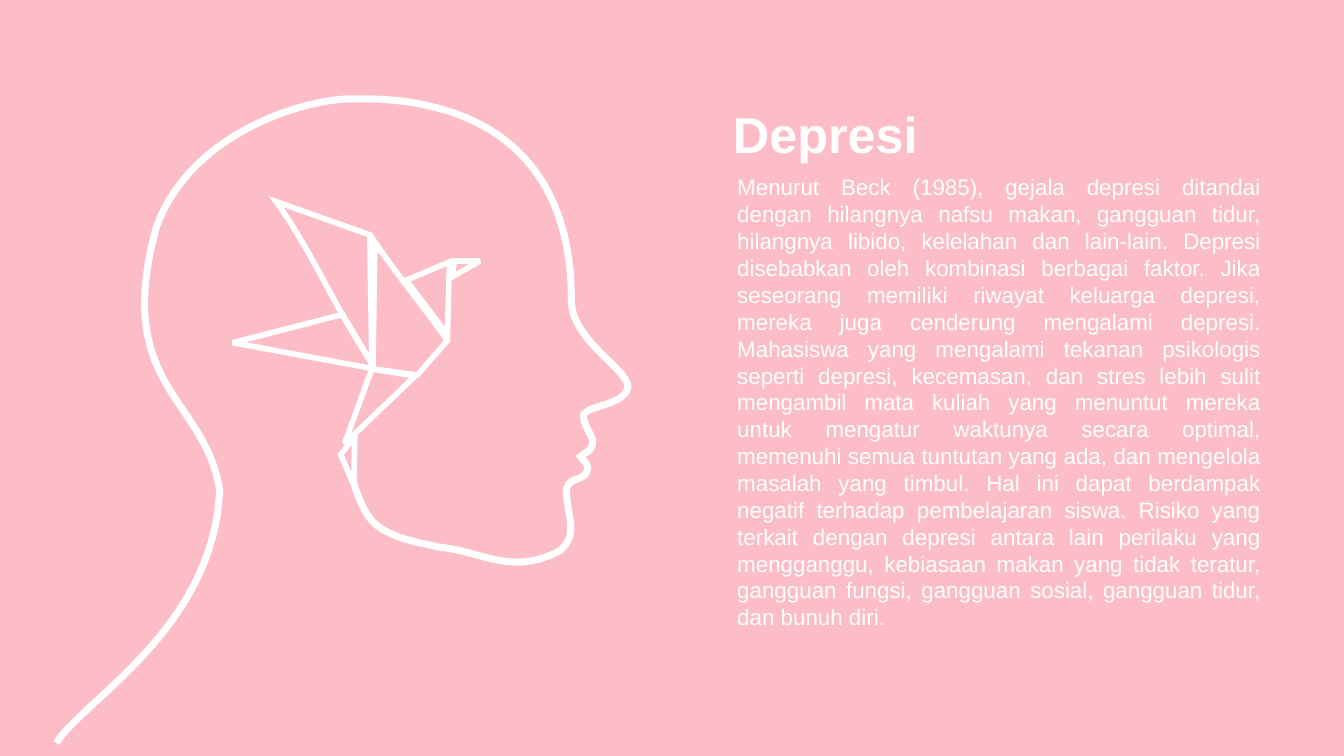
import dataclasses
import math
import pptx
import pptx.dml.color
import pptx.enum.text
import pptx.oxml
import pptx.oxml.ns
import pptx.util

Cm = pptx.util.Cm
Pt = pptx.util.Pt
TextEnum = pptx.enum.text


def rgb(code):
    return pptx.dml.color.RGBColor.from_string(code)


def turn(point, degrees):
    x, y = point
    cos = math.cos(math.radians(degrees))
    sin = math.sin(math.radians(degrees))
    return round(x * cos - y * sin), round(x * sin + y * cos)


@dataclasses.dataclass
class Theme:
    background: str = "FDBDC7"
    ink: str = "FFFFFF"
    font: str = "Arial"
    title_size: float = 36
    body_size: float = 16
    bird_line: float = 4
    head_line: float = 5
    unit: float = Cm(2.54) / 100


def write_text(frame, text, *, font, size, color, bold=False, align=None,
               line_spacing=None, space_before=None):
    paragraph = frame.paragraphs[0]
    paragraph.alignment = align
    paragraph.line_spacing = line_spacing
    paragraph.space_before = space_before
    run = paragraph.add_run()
    run.text = text
    run.font.name = font
    run.font.size = Pt(size)
    run.font.bold = bold
    run.font.color.rgb = rgb(color)


class SlideBuilder:
    def __init__(self, slide, theme):
        self.slide = slide
        self.theme = theme
        slide.background.fill.solid()
        slide.background.fill.fore_color.rgb = rgb(theme.background)

    def level(self, point, rotation):
        x, y = point
        return turn((x * self.theme.unit, y * self.theme.unit), -rotation)

    def outline(self, shapes, start, segments, width, rotation=0, close=True):
        builder = shapes.build_freeform(*self.level(start, rotation))
        points = [self.level(point, rotation)
                  for segment in segments for point in segment]
        builder.add_line_segments(points, close=close)
        shape = builder.convert_to_shape()
        self.rotate(shape, rotation)
        shape.shadow.inherit = False
        shape.fill.background()
        shape.line.color.rgb = rgb(self.theme.ink)
        shape.line.width = Pt(width)
        line = shape.line.fill._xPr
        line.append(pptx.oxml.parse_xml(
            f'<a:miter {pptx.oxml.ns.nsdecls("a")} lim="800000"/>'))
        self.bend(shape, segments)

    def rotate(self, shape, rotation):
        half_width, half_height = shape.width // 2, shape.height // 2
        center = (shape.left + half_width, shape.top + half_height)
        x, y = turn(center, rotation)
        shape.left, shape.top = x - half_width, y - half_height
        shape.rotation = rotation

    def bend(self, shape, segments):
        steps = iter(shape._element.xpath(".//a:lnTo"))
        for segment in segments:
            controls = [next(steps) for point in segment]
            if len(controls) == 3:
                curve = pptx.oxml.parse_xml(
                    f'<a:cubicBezTo {pptx.oxml.ns.nsdecls("a")}/>')
                controls[0].addprevious(curve)
                for control in controls:
                    curve.append(control[0])
                    control.getparent().remove(control)

    def text(self, words, left, top, width, height, size,
             anchor=TextEnum.MSO_ANCHOR.TOP,
             fit=TextEnum.MSO_AUTO_SIZE.NONE, **style):
        box = self.slide.shapes.add_textbox(
            Cm(left), Cm(top), Cm(width), Cm(height))
        frame = box.text_frame
        frame.word_wrap = True
        frame.auto_size = fit
        frame.vertical_anchor = anchor
        write_text(frame, words, font=self.theme.font, size=size,
                   color=self.theme.ink, **style)


BIRD = [
    (322.2, (352, 433), [[(351, 481)], [(338, 451)]]),
    (325.7, (342, 440), [[(369, 366)], [(412, 373)]]),
    (331.6, (451, 259), [[(476, 259)], [(448, 275)]]),
    (326.3, (403, 278), [[(446, 260)], [(444, 332)]]),
    (320, (231, 340), [[(340, 312)], [(372, 366)]]),
    (325.7, (414, 372), [[(444, 338)], [(421, 305), (394, 273), (372, 240)],
                         [(370, 366)]]),
    (323.9, (367, 233), [[(274, 200)],
                         [(309, 248), (335, 311), (369, 360)]]),
]

HEAD_START = (350, 475)
HEAD = [
    [(350, 476), (359, 511), (375, 522)],
    [(390, 533), (408, 537), (437, 543)],
    [(478, 547), (509, 572), (556, 546)],
    [(575, 529), (562, 512), (562, 485)],
    [(566, 471), (581, 479), (583, 465)],
    [(583, 458), (579, 458), (576, 453)],
    [(580, 449), (587, 448), (588, 440)],
    [(589, 432), (579, 424), (579, 412)],
    [(584, 401), (619, 403), (623, 384)],
    [(623, 366), (569, 339), (567, 300)],
    [(568, 95), (390, 98), (352, 98)],
    [(306, 97), (189, 130), (155, 226)],
    [(112, 384), (203, 393), (218, 486)],
    [(212, 624), (83, 694), (56, 737)],
]

EXPLANATION = (
    "Menurut Beck (1985), gejala depresi ditandai dengan hilangnya nafsu "
    "makan, gangguan tidur, hilangnya libido, kelelahan dan lain-lain. "
    "Depresi disebabkan oleh kombinasi berbagai faktor. Jika seseorang "
    "memiliki riwayat keluarga depresi, mereka juga cenderung mengalami "
    "depresi. Mahasiswa yang mengalami tekanan psikologis seperti depresi, "
    "kecemasan, dan stres lebih sulit mengambil mata kuliah yang menuntut "
    "mereka untuk mengatur waktunya secara optimal, memenuhi semua tuntutan "
    "yang ada, dan mengelola masalah yang timbul. Hal ini dapat berdampak "
    "negatif terhadap pembelajaran siswa. Risiko yang terkait dengan depresi "
    "antara lain perilaku yang mengganggu, kebiasaan makan yang tidak "
    "teratur, gangguan fungsi, gangguan sosial, gangguan tidur, dan bunuh "
    "diri."
)


def main():
    deck = pptx.Presentation()
    deck.slide_width = Cm(33.87)
    deck.slide_height = Cm(19.05)
    theme = Theme()
    page = SlideBuilder(deck.slides.add_slide(deck.slide_layouts[6]), theme)

    bird = page.slide.shapes.add_group_shape()
    for rotation, start, segments in BIRD:
        page.outline(bird.shapes, start, segments, theme.bird_line, rotation)
    page.outline(page.slide.shapes, HEAD_START, HEAD, theme.head_line,
                 close=False)

    page.text("Depresi", 18.22, 1.75, 12.6, 3.51, theme.title_size,
              anchor=TextEnum.MSO_ANCHOR.MIDDLE, bold=True,
              line_spacing=0.8, space_before=Pt(7))
    page.text(EXPLANATION, 18.33, 4.25, 13.69, 11.89, theme.body_size,
              fit=TextEnum.MSO_AUTO_SIZE.SHAPE_TO_FIT_TEXT,
              align=TextEnum.PP_ALIGN.JUSTIFY)

    deck.save("out.pptx")


if __name__ == "__main__":
    main()
